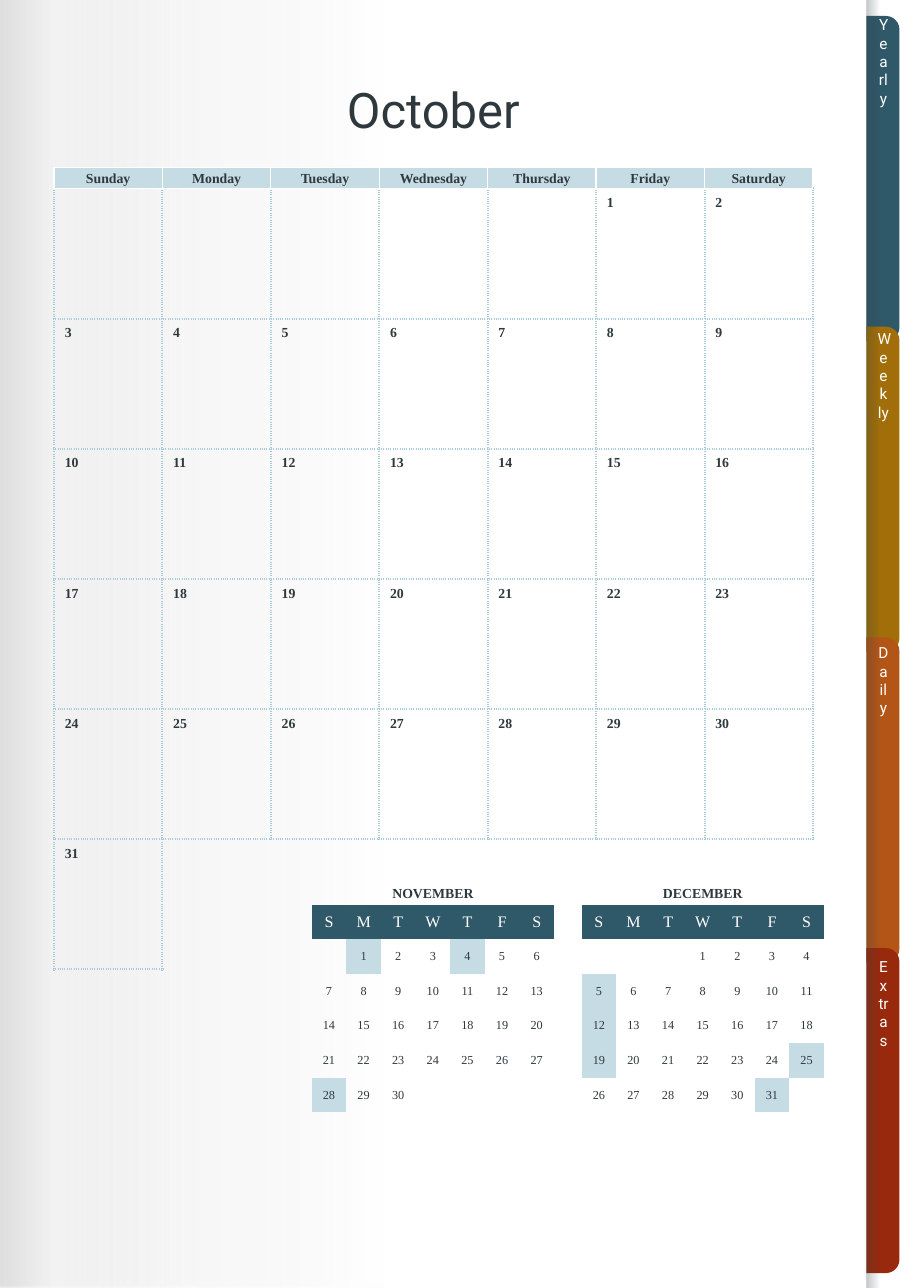
from dataclasses import dataclass

from lxml import etree
from pptx import Presentation
from pptx import util as u
from pptx.dml.color import RGBColor
from pptx.enum import shapes, text
from pptx.oxml import ns

INK = RGBColor(0x2F, 0x39, 0x3D)
SHADE = RGBColor(0x38, 0x44, 0x48)
WHITE = RGBColor(0xFF, 0xFF, 0xFF)
PALE = RGBColor(0xC6, 0xDC, 0xE5)
DOTS = RGBColor(0xA9, 0xCB, 0xD9)
TEAL = RGBColor(0x2F, 0x58, 0x69)
OCHRE = RGBColor(0xA1, 0x6E, 0x09)
ORANGE = RGBColor(0xB3, 0x55, 0x17)
RED = RGBColor(0x98, 0x29, 0x0D)
GREY = RGBColor(0xD9, 0xD9, 0xD9)
LIGHT = RGBColor(0xF2, 0xF2, 0xF2)

SERIF, SANS = "Times New Roman", "Roboto"
NO_STYLE = "{2D5ABB26-0587-4C30-8999-92F81FD0307C}"
CENTER, LEFT = text.PP_ALIGN.CENTER, text.PP_ALIGN.LEFT
MIDDLE, TOP = text.MSO_ANCHOR.MIDDLE, text.MSO_ANCHOR.TOP
WEEKDAYS = ["Sunday", "Monday", "Tuesday", "Wednesday", "Thursday", "Friday", "Saturday"]

PAGE_W, PAGE_H = 8.27, 11.69
GRID_X, GRID_Y, GRID_W, GRID_H = 0.49, 1.71, 6.89, 7.09
GRID_ROWS = 6
COL, ROW = GRID_W / 7, GRID_H / GRID_ROWS
HEAD_H = 0.19
MINI_Y, MINI_SIZE, MINI_LABEL_H = 8.21, 2.2, 0.2
TAB_X, TAB_W = 7.87, 0.3

BOLD = {"name": SERIF, "size": u.Pt(9), "bold": True}
PLAIN = {"name": SERIF, "size": u.Pt(8)}
INITIAL = {"name": SERIF, "size": u.Pt(10.5)}
TITLE = {"name": SANS, "size": u.Pt(32)}
TAB_TEXT = {"name": SANS, "size": u.Pt(10)}


@dataclass
class Tab:
    label: str
    color: RGBColor


@dataclass
class Stop:
    position: int
    color: RGBColor
    opacity: int = 100


@dataclass
class Month:
    name: str
    left: float
    first_column: int
    days: int
    marked: tuple = ()


TABS = [Tab("Yearly", TEAL), Tab("Weekly", OCHRE), Tab("Daily", ORANGE), Tab("Extras", RED)]
OCTOBER = Month("October", GRID_X, 5, 31)
NEXT_MONTHS = [
    Month("NOVEMBER", 2.83, 1, 30, (1, 4, 28)),
    Month("DECEMBER", 5.28, 3, 31, (5, 12, 19, 25, 31)),
]


def inches(*lengths: float) -> list:
    return [u.Inches(length) for length in lengths]


def apply(target, values: dict) -> None:
    for name, value in values.items():
        setattr(target, name, value)


def write(frame, words: str, font: dict, color: RGBColor, align=CENTER) -> None:
    para = frame.paragraphs[0]
    para.alignment = align
    span = para.add_run()
    span.text = words
    apply(span.font, font)
    span.font.color.rgb = color


def format_frame(frame, anchor, top: float = 0, bottom: float = 0) -> None:
    apply(frame, {
        "word_wrap": True, "vertical_anchor": anchor,
        "margin_left": u.Inches(0.1), "margin_right": u.Inches(0.1),
        "margin_top": u.Inches(top), "margin_bottom": u.Inches(bottom),
    })


def add_text(page, place: tuple, words: str, font: dict, color: RGBColor,
             align=CENTER, anchor=MIDDLE, inset: float = 0) -> None:
    box = page.shapes.add_textbox(*inches(*place))
    format_frame(box.text_frame, anchor, inset, inset)
    write(box.text_frame, words, font, color, align)


def add_block(page, kind, place: tuple, color: RGBColor):
    block = page.shapes.add_shape(kind, *inches(*place))
    block.shadow.inherit = False
    block.fill.solid()
    block.fill.fore_color.rgb = color
    block.line.fill.background()
    return block


def add_gradient(page, place: tuple, stops: list) -> None:
    block = add_block(page, shapes.MSO_SHAPE.RECTANGLE, place, WHITE)
    block.fill.gradient()
    block.fill.gradient_angle = 0
    stop_list = block.element.find(".//" + ns.qn("a:gsLst"))
    for old in list(stop_list):
        stop_list.remove(old)
    for stop in stops:
        mark = etree.SubElement(stop_list, ns.qn("a:gs"), pos=str(stop.position * 1000))
        color = etree.SubElement(mark, ns.qn("a:srgbClr"), val=str(stop.color))
        etree.SubElement(color, ns.qn("a:alpha"), val=str(stop.opacity * 1000))


def add_grid(page, rows: int, place: tuple):
    frame = page.shapes.add_table(rows, 7, *inches(*place))
    frame.element.find(".//" + ns.qn("a:tableStyleId")).text = NO_STYLE
    apply(frame.table, {"first_row": False, "horz_banding": False})
    return frame.table


def add_borders(cell, sides: str) -> None:
    properties = cell._tc.get_or_add_tcPr()
    for side in sides:
        line = etree.SubElement(properties, ns.qn("a:ln" + side), w=str(u.Pt(1.5)))
        fill = etree.SubElement(line, ns.qn("a:solidFill"))
        etree.SubElement(fill, ns.qn("a:srgbClr"), val=str(DOTS))
        etree.SubElement(line, ns.qn("a:prstDash"), val="sysDot")


def draw_backdrop(page) -> None:
    add_gradient(page, (0, 0, PAGE_W, PAGE_H), [
        Stop(0, GREY, 88), Stop(6, GREY, 33), Stop(19, LIGHT, 65), Stop(43, WHITE)])
    for index, tab in enumerate(TABS):
        block = add_block(page, shapes.MSO_SHAPE.ROUND_2_SAME_RECTANGLE,
                          (6.54, 1.47 + 2.82 * index, 2.95, TAB_W), tab.color)
        block.adjustments[0] = 0.41
        block.rotation = 90
    add_gradient(page, (TAB_X, 0, 0.39, PAGE_H), [Stop(0, SHADE, 30), Stop(31, SHADE, 0)])


def draw_month(page, month: Month) -> None:
    grid = add_grid(page, GRID_ROWS, (GRID_X, GRID_Y, GRID_W, GRID_H))
    last = GRID_ROWS - 1
    for row in range(GRID_ROWS):
        for column in range(7):
            open_end = row == last and column > 0
            sides = ("LT" if column == 1 else "T") if open_end else "LRTB"
            add_borders(grid.cell(row, column), sides)
    grid.cell(last, 1).merge(grid.cell(last, 6))

    for column, weekday in enumerate(WEEKDAYS):
        head = add_block(page, shapes.MSO_SHAPE.RECTANGLE,
                         (GRID_X + column * COL, GRID_Y - HEAD_H, COL, HEAD_H), PALE)
        head.line.color.rgb = WHITE
        head.line.width = u.Pt(0.75)
        format_frame(head.text_frame, MIDDLE)
        write(head.text_frame, weekday, BOLD, INK)
    for day in range(1, month.days + 1):
        row, column = divmod(month.first_column + day - 1, 7)
        add_text(page, (GRID_X + column * COL, GRID_Y + row * ROW, COL, ROW),
                 str(day), BOLD, INK, LEFT, TOP, 0.05)


def draw_mini_month(page, month: Month) -> None:
    add_text(page, (month.left, MINI_Y - MINI_LABEL_H, MINI_SIZE, MINI_LABEL_H),
             month.name, BOLD, INK)
    grid = add_grid(page, 7, (month.left, MINI_Y, MINI_SIZE, MINI_SIZE))
    for cell in grid.iter_cells():
        apply(cell, {"margin_left": 0, "margin_right": 0, "margin_top": 0,
                     "margin_bottom": 0, "vertical_anchor": MIDDLE})
        cell.fill.background()
    for column, weekday in enumerate(WEEKDAYS):
        cell = grid.cell(0, column)
        cell.fill.solid()
        cell.fill.fore_color.rgb = TEAL
        write(cell.text_frame, weekday[0], INITIAL, WHITE)
    for day in range(1, month.days + 1):
        row, column = divmod(month.first_column + day - 1, 7)
        cell = grid.cell(row + 1, column)
        write(cell.text_frame, str(day), PLAIN, INK)
        if day in month.marked:
            cell.fill.solid()
            cell.fill.fore_color.rgb = PALE


def main() -> None:
    deck = Presentation()
    deck.slide_width, deck.slide_height = inches(PAGE_W, PAGE_H)
    page = deck.slides.add_slide(deck.slide_layouts[5])
    draw_backdrop(page)

    # Title, lifted above the backdrop
    title = page.shapes.title
    page.shapes.element.append(title.element)
    apply(title, dict(zip(("left", "top", "width", "height"), inches(0.39, 0.53, 7.09, 0.79))))
    format_frame(title.text_frame, MIDDLE, top=0.2)
    title.text_frame.paragraphs[0].line_spacing = 0.9
    write(title.text_frame, OCTOBER.name, TITLE, INK)

    # Calendars
    draw_month(page, OCTOBER)
    for month in NEXT_MONTHS:
        draw_mini_month(page, month)

    # Tab labels, one narrow column of letters each
    for index, tab in enumerate(TABS):
        add_text(page, (TAB_X, 0.14 + 2.85 * index, TAB_W, 2.85), tab.label,
                 TAB_TEXT, WHITE, anchor=TOP)
    deck.save("out.pptx")


if __name__ == "__main__":
    main()
